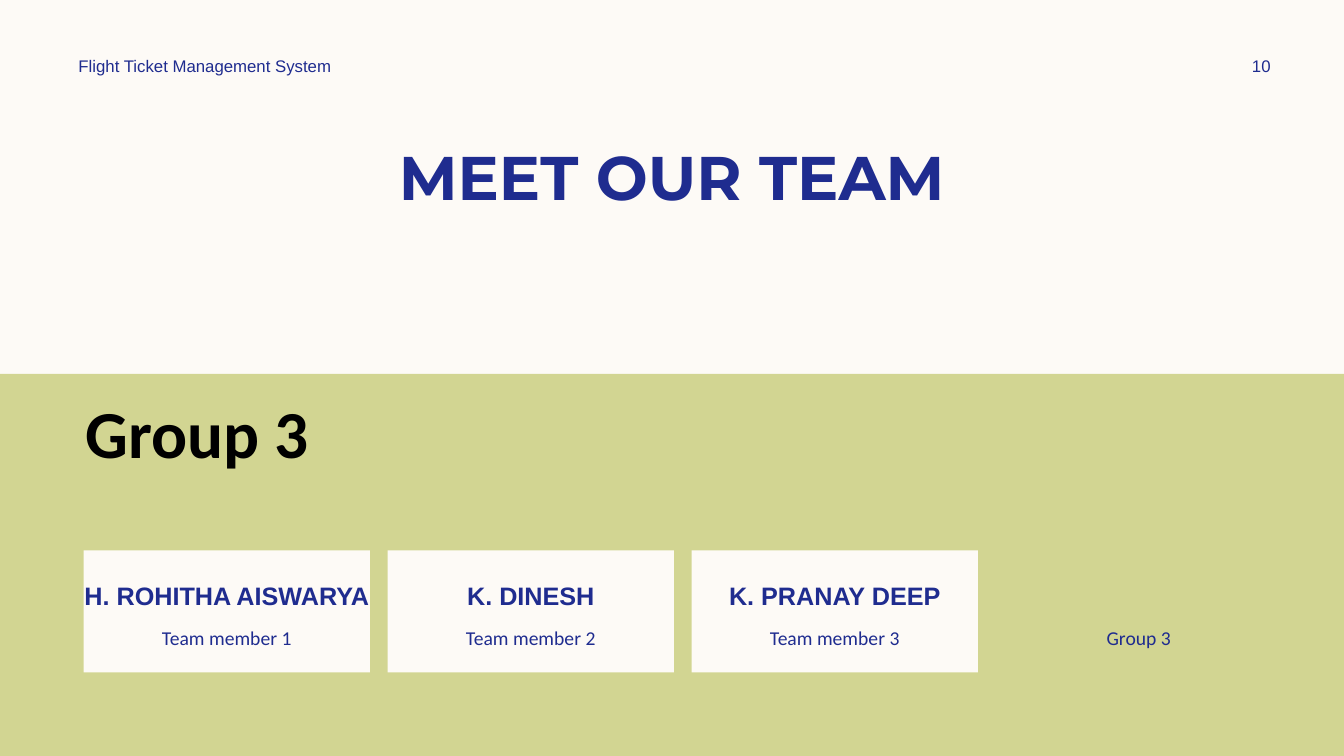
"""Build the team slide: title above a green band with three member cards."""
from pptx import Presentation
from pptx.dml.color import RGBColor
from pptx.enum.shapes import MSO_SHAPE
from pptx.enum.text import MSO_ANCHOR, PP_ALIGN
from pptx.util import Inches, Pt

RECT = MSO_SHAPE.RECTANGLE
TOP, MIDDLE = MSO_ANCHOR.TOP, MSO_ANCHOR.MIDDLE
LEFT, CENTER = PP_ALIGN.LEFT, PP_ALIGN.CENTER

WIDE, HIGH = 13.33, 7.5
THEME = {
    "cream": RGBColor.from_string("FDFAF6"),
    "green": RGBColor.from_string("D2D592"),
    "navy": RGBColor.from_string("1F2C8F"),
    "black": RGBColor.from_string("000000"),
    "title": ("Montserrat", 44, True),
    "group": ("Calibri", 48, True),
    "name": ("Arial", 18, True),
    "role": ("Calibri", 14, False),
    "head": ("Arial", 12, False),
}

deck = Presentation()
deck.slide_width, deck.slide_height = Inches(WIDE), Inches(HIGH)
slide = deck.slides.add_slide(deck.slide_layouts[6])
slide.background.fill.solid()
slide.background.fill.fore_color.rgb = THEME["cream"]


def block(box, color):
    """Add a plain filled rectangle."""
    shape = slide.shapes.add_shape(RECT, *map(Inches, box))
    shape.shadow.inherit = False
    shape.fill.solid()
    shape.fill.fore_color.rgb = THEME[color]
    shape.line.fill.background()
    return shape


def write(shape, text, style, align=CENTER, anchor=MIDDLE, color="navy"):
    """Put one styled line of text in a shape."""
    frame = shape.text_frame
    frame.word_wrap = True
    frame.vertical_anchor = anchor
    line = frame.paragraphs[0]
    line.text = text
    line.alignment = align
    font = line.font
    font.name, size, font.bold = THEME[style]
    font.size = Pt(size)
    font.color.rgb = THEME[color]


band = 3.71
block((0, band, WIDE, HIGH - band), "green")

edge, card_w, card_h, card_y = 0.83, 2.84, 1.21, 5.46
step, role_w, role_h, role_y = 3.015, 2.5, 0.4, 6.13
inset = (card_w - role_w) / 2

names = ["H. ROHITHA AISWARYA", "K. DINESH", "K. PRANAY DEEP"]
for col, name in enumerate(names):
    card = block((edge + col * step, card_y, card_w, card_h), "cream")
    frame = card.text_frame
    frame.margin_left = frame.margin_right = 0
    frame.margin_top, frame.margin_bottom = Inches(0.3), Inches(0.05)
    write(card, name, "name", anchor=TOP)

labels = [
    ((edge, 1.33, WIDE - 2 * edge, 0.84), "MEET OUR TEAM", "title", CENTER, TOP, "navy"),
    ((0.68, 0.5, 3.5, 0.3), "Flight Ticket Management System", "head", LEFT, MIDDLE, "navy"),
    ((11.97, 0.5, 1.08, 0.3), "10", "head", CENTER, MIDDLE, "navy"),
    ((0.75, 3.83, 5.84, 0.91), "Group 3", "group", LEFT, TOP, "black"),
]
roles = [f"Team member {n}" for n in range(1, len(names) + 1)] + ["Group 3"]
for col, role in enumerate(roles):
    box = (edge + inset + col * step, role_y, role_w, role_h)
    labels.append((box, role, "role", CENTER, MIDDLE, "navy"))

for box, *rest in labels:
    write(slide.shapes.add_textbox(*map(Inches, box)), *rest)

deck.save("out.pptx")
